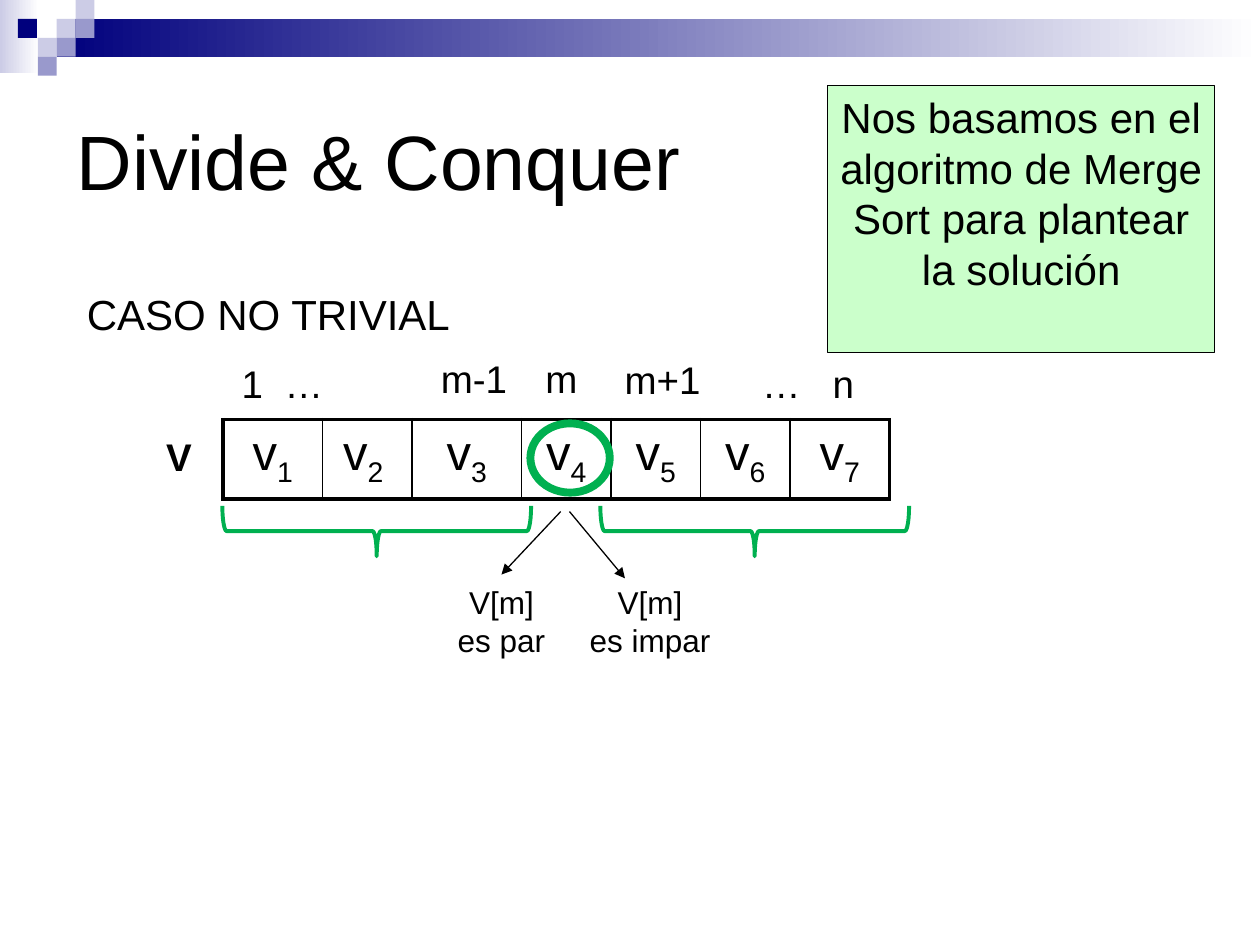
from dataclasses import dataclass

from lxml import etree
from pptx import Presentation
from pptx.dml.color import RGBColor
from pptx.enum.shapes import MSO_CONNECTOR, MSO_SHAPE
from pptx.enum.text import MSO_ANCHOR, PP_ALIGN
from pptx.oxml.ns import qn
from pptx.util import Inches, Pt

RECTANGLE, OVAL, BRACE = MSO_SHAPE.RECTANGLE, MSO_SHAPE.OVAL, MSO_SHAPE.LEFT_BRACE
STRAIGHT = MSO_CONNECTOR.STRAIGHT
LEFT, CENTER = PP_ALIGN.LEFT, PP_ALIGN.CENTER
TOP, MIDDLE = MSO_ANCHOR.TOP, MSO_ANCHOR.MIDDLE


@dataclass(frozen=True)
class Theme:
    font: str = "Arial"
    black: str = "000000"
    white: str = "FFFFFF"
    navy: str = "00007D"
    lavender: str = "CCCCE6"
    periwinkle: str = "9999CC"
    mint: str = "99FF99"
    green: str = "00B050"
    title: int = 44
    cell: int = 28
    body: int = 24
    label: int = 22
    note: int = 18


class SlideBuilder:
    def __init__(self, slide, theme):
        self.slide = slide
        self.theme = theme

    def fill_text(self, frame, lines, size, align=LEFT, anchor=TOP, bold=False):
        frame.word_wrap = True
        frame.vertical_anchor = anchor
        for index, line in enumerate(lines):
            paragraph = frame.paragraphs[0] if index == 0 else frame.add_paragraph()
            paragraph.alignment = align
            self.add_run(paragraph, line, size, bold)

    def add_run(self, paragraph, text, size, bold=False):
        run = paragraph.add_run()
        run.text = text
        values = {"name": self.theme.font, "size": Pt(size), "bold": bold}
        for name, value in values.items():
            setattr(run.font, name, value)
        run.font.color.rgb = RGBColor.from_string(self.theme.black)
        return run

    def text(self, box, lines, size, **style):
        text_box = self.slide.shapes.add_textbox(*map(Inches, box))
        self.fill_text(text_box.text_frame, lines, size, **style)

    def shape(self, kind, box, fill=None, gradient=None, line=None, width=1, rotation=0, alpha=None):
        shape = self.slide.shapes.add_shape(kind, *map(Inches, box))
        shape.shadow.inherit = False
        shape.rotation = rotation
        if gradient:
            shape.fill.gradient()
            shape.fill.gradient_angle = 0
            for stop, color in zip(shape.fill.gradient_stops, gradient):
                stop.color.rgb = RGBColor.from_string(color)
        elif fill:
            shape.fill.solid()
            shape.fill.fore_color.rgb = RGBColor.from_string(fill)
            if alpha:
                color = shape._element.spPr.find(qn("a:solidFill")).find(qn("a:srgbClr"))
                etree.SubElement(color, qn("a:alpha"), val=str(alpha * 1000))
        else:
            shape.fill.background()
        if line:
            shape.line.color.rgb = RGBColor.from_string(line)
            shape.line.width = Pt(width)
        else:
            shape.line.fill.background()
        return shape

    def arrow(self, start, end):
        connector = self.slide.shapes.add_connector(STRAIGHT, *map(Inches, start + end))
        connector.line.color.rgb = RGBColor.from_string(self.theme.black)
        connector.line.width = Pt(0.75)
        properties = connector._element.spPr
        etree.SubElement(properties.find(qn("a:ln")), qn("a:tailEnd"), type="triangle")
        etree.SubElement(properties, qn("a:effectLst"))

    def border(self, cell, side, width):
        line = etree.SubElement(cell._tc.get_or_add_tcPr(), qn("a:" + side), w=str(Pt(width)))
        fill = etree.SubElement(line, qn("a:solidFill"))
        etree.SubElement(fill, qn("a:srgbClr"), val=self.theme.black)

    def vector(self, left, top, widths, height, subscripts):
        frame = self.slide.shapes.add_table(
            1, len(widths), Inches(left), Inches(top), Inches(sum(widths)), Inches(height))
        table = frame.table
        for name in ("first_row", "horz_banding"):
            setattr(table, name, False)
        table.rows[0].height = Inches(height)
        last = len(widths) - 1
        for index, (width, subscript) in enumerate(zip(widths, subscripts)):
            table.columns[index].width = Inches(width)
            cell = table.cell(0, index)
            sides = {"lnL": 2.25 if index == 0 else 1, "lnR": 2.25 if index == last else 1,
                     "lnT": 2.25, "lnB": 2.25}
            for side, line_width in sides.items():
                self.border(cell, side, line_width)
            cell.fill.background()
            paragraph = cell.text_frame.paragraphs[0]
            paragraph.alignment = CENTER
            paragraph.space_before = Pt(5.6)
            self.add_run(paragraph, "v", self.theme.cell)
            lowered = self.add_run(paragraph, subscript, self.theme.cell)
            lowered.font._element.set("baseline", "-25000")


theme = Theme()
presentation = Presentation()
presentation.slide_width, presentation.slide_height = Inches(10), Inches(7.5)
slide = presentation.slides.add_slide(presentation.slide_layouts[6])
builder = SlideBuilder(slide, theme)

# Header band and squares
builder.shape(RECTANGLE, (0, 0, 0.31, 0.58), gradient=(theme.lavender, theme.white))
builder.shape(RECTANGLE, (0.45, 0.15, 9.55, 0.3), gradient=(theme.navy, theme.white))
SQUARE = 0.15
for column, row, color in (
    (3, 1, theme.lavender), (4, 0, theme.lavender), (4, 1, theme.periwinkle),
    (2, 2, theme.lavender), (0.95, 1, theme.navy), (3, 2, theme.periwinkle),
    (2, 3, theme.periwinkle),
):
    builder.shape(RECTANGLE, (column * SQUARE, row * SQUARE, SQUARE, SQUARE), fill=color)

# Title, case heading and remark
builder.text((0.51, 0.52, 9, 1.5), ["Divide & Conquer"], theme.title, anchor=MIDDLE)
builder.text((0.59, 2.24, 3.31, 0.5), ["CASO NO TRIVIAL"], theme.body)
remark = builder.shape(RECTANGLE, (6.57, 0.68, 3.07, 2.12), fill=theme.mint, alpha=50,
                       line=theme.black, width=0.75)
builder.fill_text(remark.text_frame,
                  ["Nos basamos en el algoritmo de Merge Sort para plantear la solución"],
                  theme.body, align=CENTER)

# Vector with its index labels
for left, top, label in (
    (1.82, 2.81, "1"), (2.16, 2.81, "…"), (3.4, 2.77, "m-1"), (4.23, 2.77, "m"),
    (4.86, 2.78, "m+1"), (5.95, 2.81, "…"), (6.51, 2.81, "n"),
):
    builder.text((left, top, 0.95, 0.47), [label], theme.label)
builder.text((1.22, 3.39, 0.5, 0.47), ["V"], theme.label, bold=True)
builder.vector(1.77, 3.33, (0.79, 0.71, 0.87, 0.71, 0.71, 0.71, 0.79), 0.57,
               ("1", "2 ", "3", "4", "5", "6", "7"))

# Middle element and the two halves
builder.shape(OVAL, (4.21, 3.36, 0.63, 0.55), line=theme.green, width=4.5)
for left in (2.79, 5.79):
    builder.shape(BRACE, (left, 2.99, 0.4, 2.45), line=theme.green, width=2.25, rotation=270)

# Outcomes for the middle element
for center, outcome, start, end in (
    (5.16, "es impar", (4.52, 4.06), (4.96, 4.59)),
    (3.98, "es par", (4.45, 4.06), (3.98, 4.56)),
):
    builder.text((center - 0.65, 4.58, 1.3, 0.71), ["V[m]", outcome], theme.note, align=CENTER)
    builder.arrow(start, end)

presentation.save("out.pptx")
